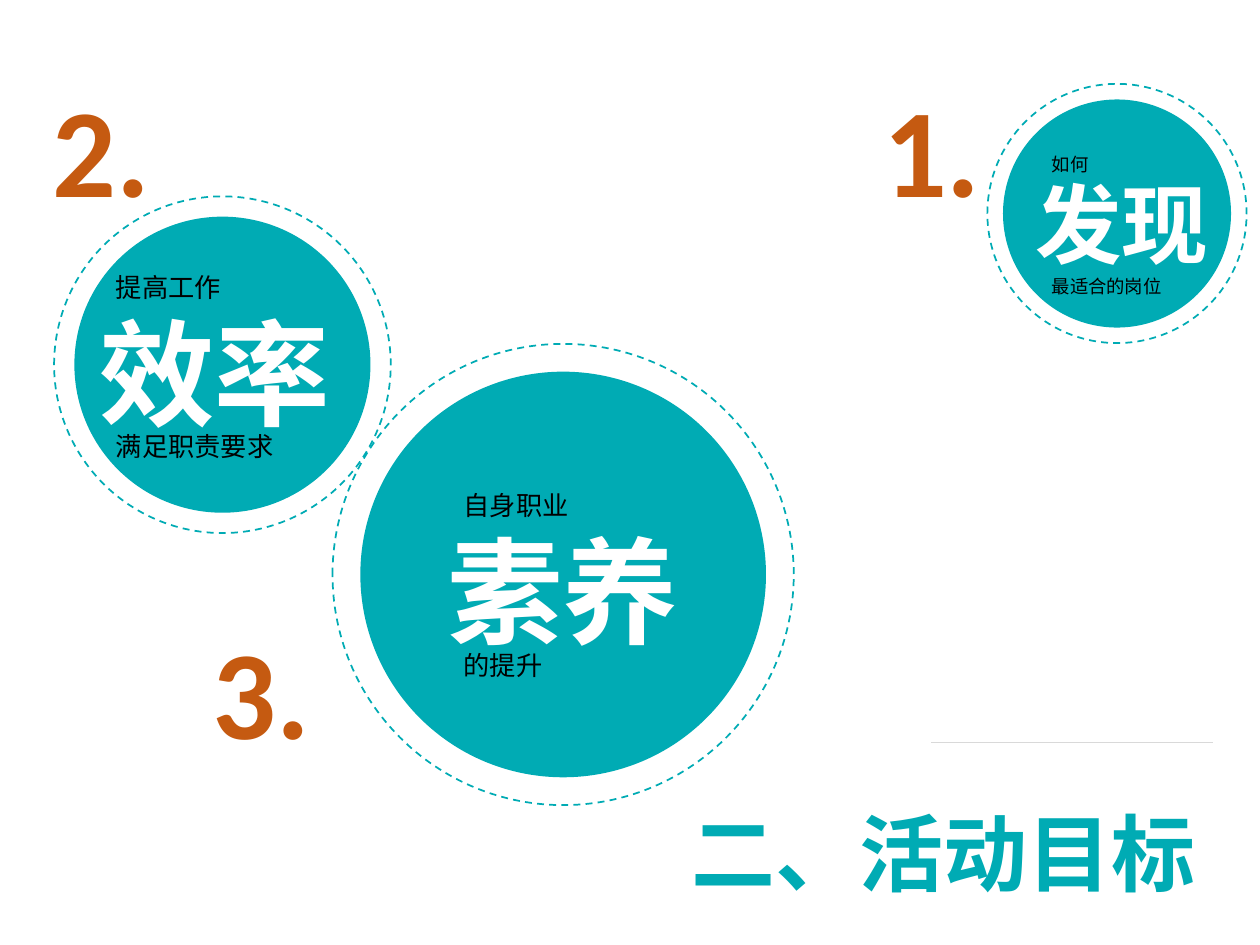
from dataclasses import dataclass

from lxml import etree
from pptx import Presentation
from pptx.dml.color import RGBColor
from pptx.enum import dml, shapes, text
from pptx.oxml import ns
from pptx.util import Pt

TEAL, ORANGE, WHITE, BLACK, GREY = "00ABB4", "C55A11", "FFFFFF", "000000", "D9D9D9"
HEAVY, LIGHT, LATIN = "Noto Sans CJK SC", "Noto Sans CJK JP", "Calibri"
RING_RATIO = 1.137
CAPTION_INDENT = 9.4
NUMBER_WIDTH = 140.4


@dataclass
class Goal:
    number: str
    number_at: tuple[float, float]
    center: tuple[float, float]
    diameter: float
    keyword: str
    keyword_at: tuple[float, float]
    keyword_size: float
    lead: str
    lead_top: float
    trail: str
    trail_top: float
    caption_size: float


GOALS = [
    Goal("2.", (-47.5, 37.4), (127.1, 208.4), 169.2, "效率", (49.7, 169.2), 66,
         "提高工作", 151.2, "满足职责要求", 242.6, 15),
    Goal("3.", (43.9, 347), (321.8, 328.3), 231.8, "素养", (248.4, 293.8), 66,
         "自身职业", 275.8, "的提升", 367.2, 15),
    Goal("1.", (427, 37.4), (638.3, 122), 130.3, "发现", (584.6, 94.3), 49.5,
         "如何", 84.2, "最适合的岗位", 153.4, 10.5),
]


def rgb(value: str) -> RGBColor:
    return RGBColor.from_string(value)


def write(box, words: str, size: float, font_name: str, color: str,
          bold: bool = False, align=text.PP_ALIGN.LEFT, wrap: bool = False) -> None:
    frame = box.text_frame
    frame.text = words
    frame.word_wrap = wrap
    frame.auto_size = text.MSO_AUTO_SIZE.SHAPE_TO_FIT_TEXT
    frame.vertical_anchor = text.MSO_ANCHOR.TOP
    paragraph = frame.paragraphs[0]
    paragraph.alignment = align
    font = paragraph.font
    font.size = Pt(size)
    font.bold = bold
    font.color.rgb = rgb(color)
    font.name = font_name
    properties = paragraph._p.pPr.find(ns.qn("a:defRPr"))
    etree.SubElement(properties, ns.qn("a:ea")).set("typeface", font_name)


def add_phrase(slide, words: str, left: float, top: float, size: float,
               font_name: str, color: str, bold: bool = False) -> None:
    width, height = len(words) * size + 14.4, size * 1.2 + 7.2
    box = slide.shapes.add_textbox(Pt(left), Pt(top), Pt(width), Pt(height))
    write(box, words, size, font_name, color, bold)


def add_circle(group, center: tuple[float, float], diameter: float):
    left, top = (middle - diameter / 2 for middle in center)
    circle = group.shapes.add_shape(shapes.MSO_SHAPE.OVAL, Pt(left), Pt(top),
                                    Pt(diameter), Pt(diameter))
    circle.shadow.inherit = False
    return circle


def add_ringed_disc(slide, goal: Goal) -> None:
    group = slide.shapes.add_group_shape()
    disc = add_circle(group, goal.center, goal.diameter)
    disc.fill.solid()
    disc.fill.fore_color.rgb = rgb(TEAL)
    disc.line.fill.background()
    ring = add_circle(group, goal.center, goal.diameter * RING_RATIO)
    ring.fill.background()
    ring.line.color.rgb = rgb(TEAL)
    ring.line.width = Pt(1)
    ring.line.dash_style = dml.MSO_LINE.DASH


def add_goal_text(slide, goal: Goal) -> None:
    left, top = goal.keyword_at
    add_phrase(slide, goal.keyword, left, top, goal.keyword_size, HEAVY, WHITE, True)
    for words, caption_top in ((goal.lead, goal.lead_top), (goal.trail, goal.trail_top)):
        add_phrase(slide, words, left + CAPTION_INDENT, caption_top,
                   goal.caption_size, LIGHT, BLACK)


def add_number(slide, goal: Goal) -> None:
    left, top = goal.number_at
    number = slide.shapes.add_textbox(Pt(left), Pt(top), Pt(NUMBER_WIDTH), Pt(94.3))
    write(number, goal.number, 72, LATIN, ORANGE, True, text.PP_ALIGN.RIGHT, True)


def add_title(slide) -> None:
    title = slide.shapes.title
    title.left, title.top, title.width, title.height = map(Pt, (388.1, 454.3, 305.3, 65.5))
    write(title, "二、活动目标", 48, HEAVY, TEAL, True)


def add_rule(slide) -> None:
    rule = slide.shapes.add_connector(shapes.MSO_CONNECTOR.STRAIGHT,
                                      Pt(532.1), Pt(424.1), Pt(693.4), Pt(424.1))
    rule.line.color.rgb = rgb(GREY)
    rule.line.width = Pt(0.5)
    etree.SubElement(rule._element.spPr, ns.qn("a:effectLst"))


def main() -> None:
    deck = Presentation()
    deck.slide_width, deck.slide_height = Pt(720), Pt(540)
    slide = deck.slides.add_slide(deck.slide_layouts[5])
    for draw in (add_ringed_disc, add_goal_text, add_number):
        for goal in GOALS:
            draw(slide, goal)
    add_title(slide)
    add_rule(slide)
    deck.save("out.pptx")


if __name__ == "__main__":
    main()
